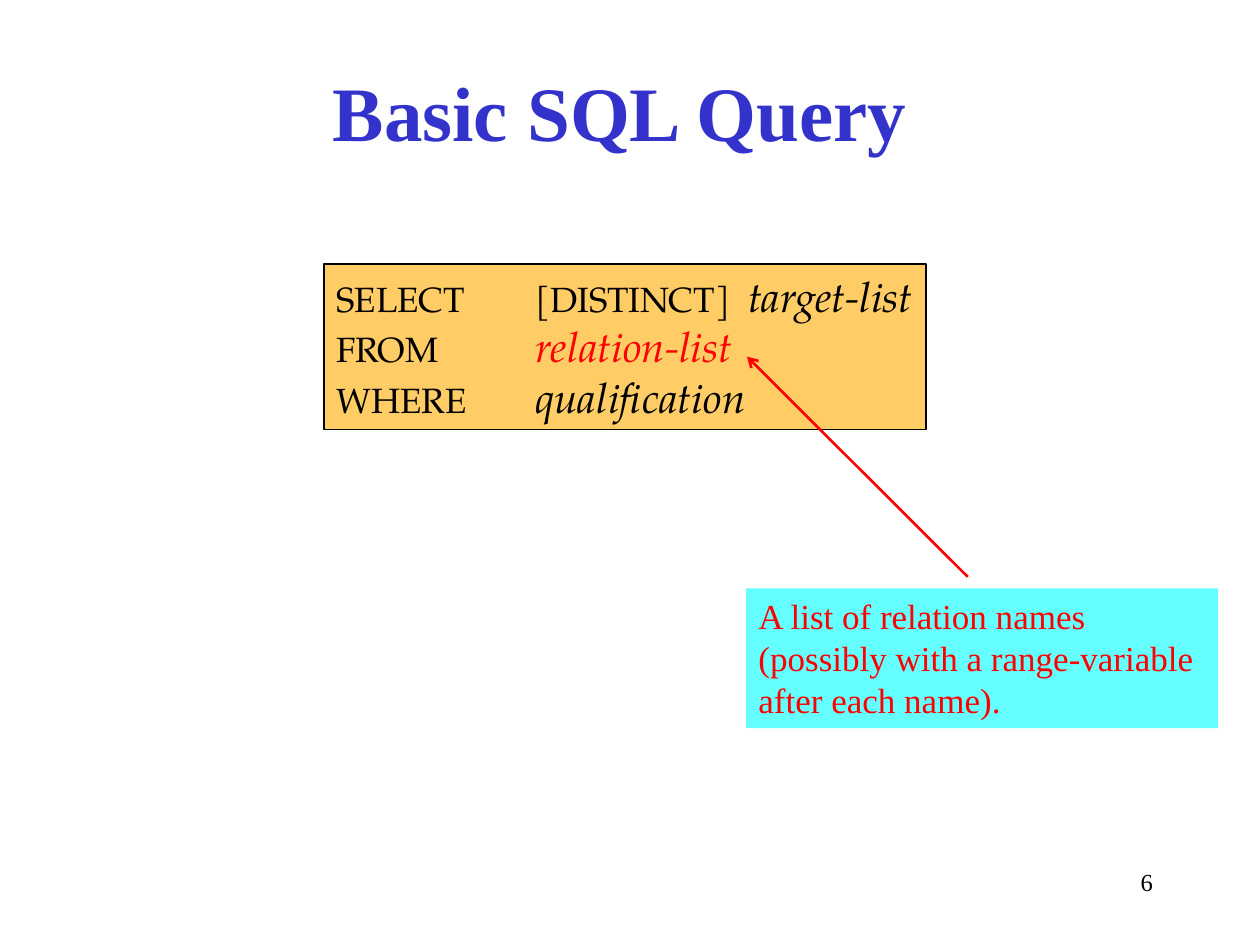
from dataclasses import dataclass
from typing import Optional

from lxml.etree import SubElement
from pptx import Presentation
from pptx.dml.color import RGBColor
from pptx.enum.shapes import MSO_CONNECTOR, MSO_SHAPE
from pptx.enum.text import MSO_ANCHOR, PP_ALIGN
from pptx.oxml.ns import qn
from pptx.util import Cm, Pt

COLORS = {
    "title": "3333CC",
    "ink": "000000",
    "accent": "FF0000",
    "query": "FFCC66",
    "callout": "66FFFF",
}
SERIF = "Times New Roman"
QUERY_FONT = "TeX Gyre Pagella"
QUERY_TABS = (4.02, 8.3)


@dataclass
class TextRun:
    text: str
    size: float = 20
    color: str = "ink"
    font: str = SERIF
    bold: bool = False
    italic: bool = False


@dataclass
class Panel:
    left: float
    top: float
    width: float
    height: float
    fill: str
    lines: list[list[TextRun]]
    outline: Optional[str] = None
    tabs: tuple[float, ...] = ()


def keyword(text: str) -> TextRun:
    return TextRun(text, font=QUERY_FONT)


def variable(text: str, color: str = "ink") -> TextRun:
    return TextRun(text, 24, color, QUERY_FONT, italic=True)


PANELS = [
    Panel(6.53, 5.33, 12.14, 3.33, "query", [
        [keyword("SELECT\t[DISTINCT]\t"), variable("target-list")],
        [keyword("FROM\t"), variable("relation-list", "accent")],
        [keyword("WHERE\t"), variable("qualification")],
    ], outline="ink", tabs=QUERY_TABS),
    Panel(15.04, 11.86, 9.52, 2.82, "callout", [
        [TextRun(line, color="accent")] for line in (
            "A list of relation names",
            "(possibly with a range-variable",
            "after each name).",
        )
    ]),
]


def rgb(name: str) -> RGBColor:
    return RGBColor.from_string(COLORS[name])


def add_run(paragraph, item: TextRun) -> None:
    run = paragraph.add_run()
    run.text = item.text
    formats = {"name": item.font, "size": Pt(item.size),
               "bold": item.bold, "italic": item.italic}
    for attribute, value in formats.items():
        setattr(run.font, attribute, value)
    run.font.color.rgb = rgb(item.color)


def add_tab_stops(paragraph, positions: tuple[float, ...]) -> None:
    tab_list = SubElement(paragraph._p.get_or_add_pPr(), qn("a:tabLst"))
    for position in positions:
        SubElement(tab_list, qn("a:tab"), pos=str(Cm(position)), algn="l")


def place(shape, left: float, top: float, width: float, height: float) -> None:
    bounds = {"left": left, "top": top, "width": width, "height": height}
    for attribute, value in bounds.items():
        setattr(shape, attribute, Cm(value))


def add_title(slide, text: str) -> None:
    title = slide.shapes.title
    place(title, 1.7, 0.64, 21.59, 3.18)
    title.text_frame.vertical_anchor = MSO_ANCHOR.MIDDLE
    paragraph = title.text_frame.paragraphs[0]
    paragraph.alignment = PP_ALIGN.CENTER
    add_run(paragraph, TextRun(text, 44, "title", bold=True))


def add_panel(slide, panel: Panel) -> None:
    shape = slide.shapes.add_shape(
        MSO_SHAPE.RECTANGLE, Cm(panel.left), Cm(panel.top),
        Cm(panel.width), Cm(panel.height))
    shape.shadow.inherit = False
    shape.fill.solid()
    shape.fill.fore_color.rgb = rgb(panel.fill)
    if panel.outline:
        shape.line.color.rgb = rgb(panel.outline)
        shape.line.width = Pt(1)
    else:
        shape.line.fill.background()
    frame = shape.text_frame
    frame.word_wrap = True
    frame.vertical_anchor = MSO_ANCHOR.TOP
    for index, line in enumerate(panel.lines):
        paragraph = frame.add_paragraph() if index else frame.paragraphs[0]
        paragraph.alignment = PP_ALIGN.LEFT
        if panel.tabs:
            add_tab_stops(paragraph, panel.tabs)
        for item in line:
            add_run(paragraph, item)


def add_arrow(slide, start: tuple[float, float], end: tuple[float, float]) -> None:
    arrow = slide.shapes.add_connector(
        MSO_CONNECTOR.STRAIGHT, *(Cm(value) for value in start + end))
    arrow.line.color.rgb = rgb("accent")
    arrow.line.width = Pt(1.5)
    SubElement(arrow.line._get_or_add_ln(), qn("a:tailEnd"), type="arrow")
    SubElement(arrow._element.spPr, qn("a:effectLst"))


def add_page_number(slide, number: str) -> None:
    box = slide.shapes.add_textbox(Cm(18.21), Cm(17.35), Cm(5.28), Cm(1.27))
    box.text_frame.word_wrap = True
    paragraph = box.text_frame.paragraphs[0]
    paragraph.alignment = PP_ALIGN.RIGHT
    add_run(paragraph, TextRun(number, 14))


def main() -> None:
    presentation = Presentation()
    presentation.slide_width = Cm(25.4)
    presentation.slide_height = Cm(19.05)
    slide = presentation.slides.add_slide(presentation.slide_layouts[5])
    add_title(slide, "Basic SQL Query")
    add_page_number(slide, "6")
    for panel in PANELS:
        add_panel(slide, panel)
    add_arrow(slide, (19.51, 11.63), (15.06, 7.19))
    presentation.save("out.pptx")


if __name__ == "__main__":
    main()
